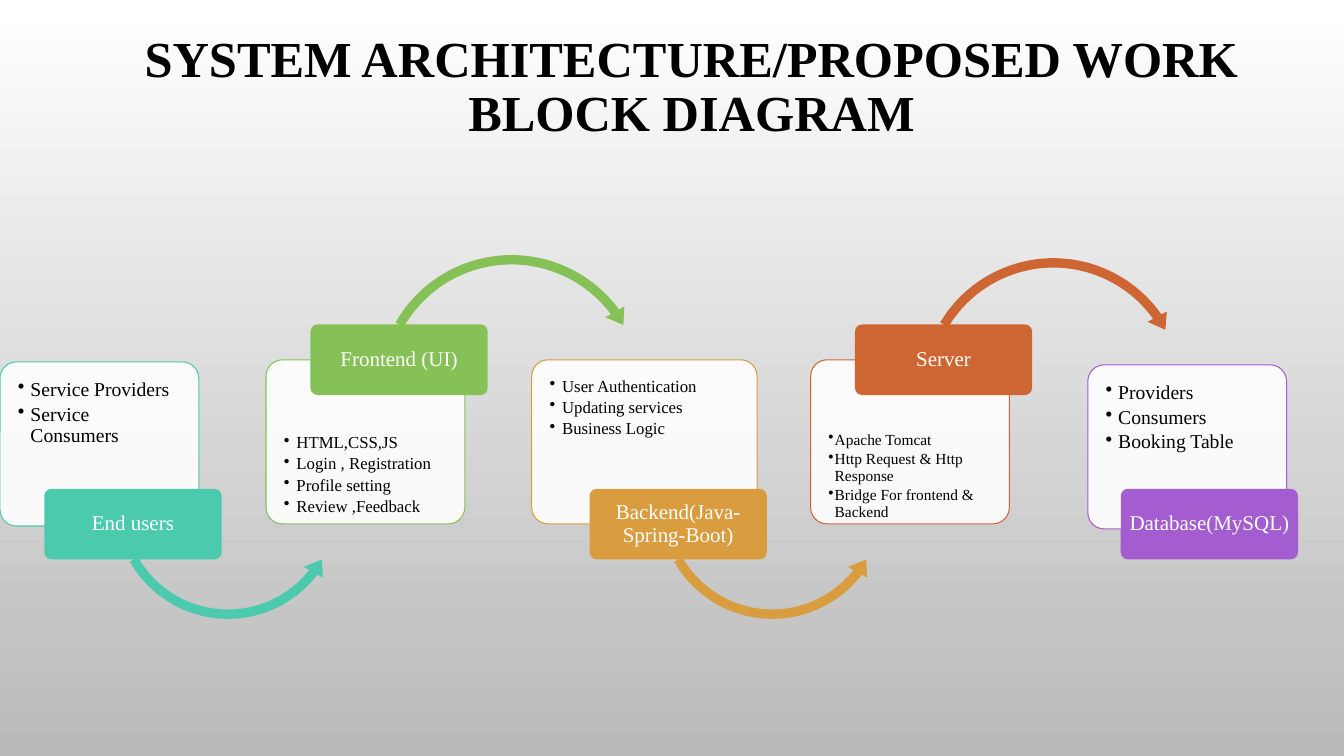
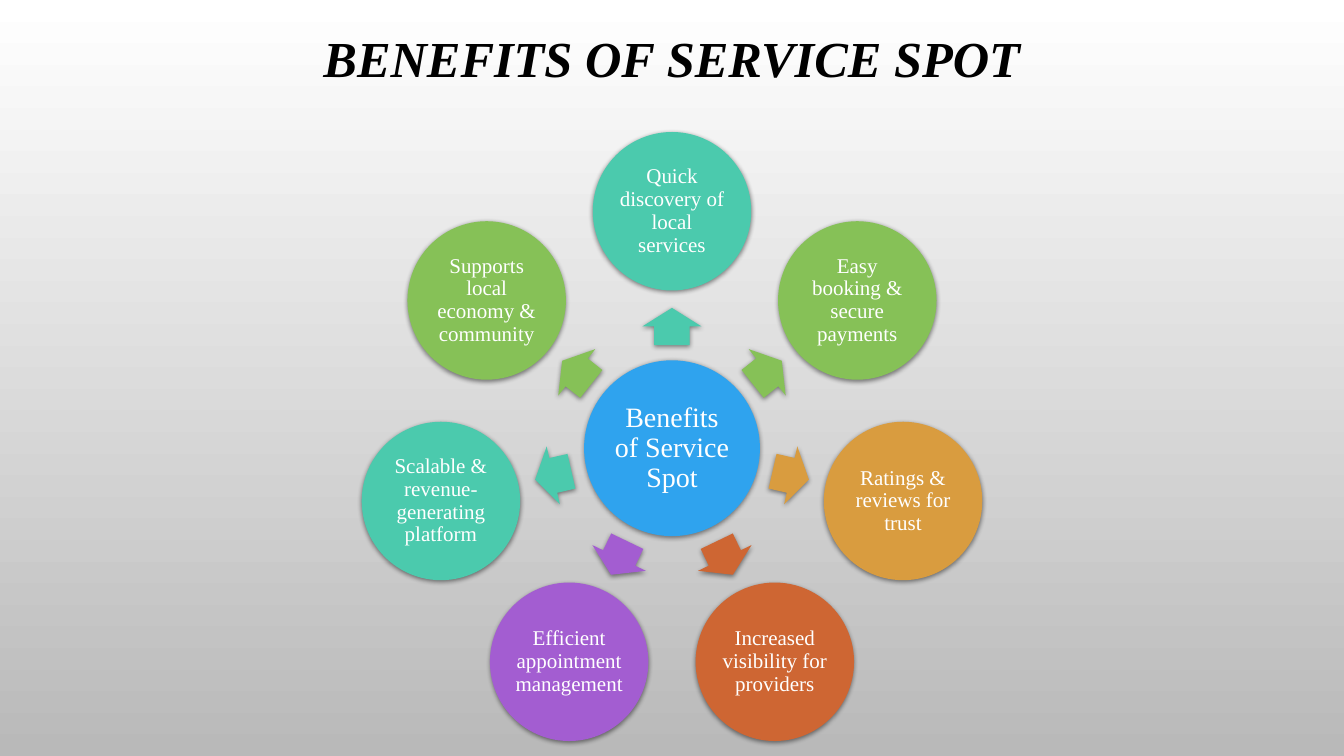
"""Build the service platform slides: architecture flow and benefits ring."""
import dataclasses
import math

import lxml.etree
import pptx
import pptx.dml.color
import pptx.enum.shapes
import pptx.enum.text
import pptx.oxml.ns
import pptx.util

Pt = pptx.util.Pt
SHAPES = pptx.enum.shapes.MSO_SHAPE
ALIGN = pptx.enum.text.PP_ALIGN
ANCHOR = pptx.enum.text.MSO_ANCHOR
qn = pptx.oxml.ns.qn


@dataclasses.dataclass(frozen=True)
class Theme:
    font: str = "Times New Roman"
    ink: str = "000000"
    paper: str = "FFFFFF"
    shade: str = "B9B9B9"
    hub: str = "2FA3EE"
    accents: tuple = ("4BCAAD", "86C157", "D99C3F", "CE6633", "A35DD1")
    title_size: int = 36
    hub_size: int = 20
    label_size: int = 15
    leading: float = 0.9


def rgb(value):
    return pptx.dml.color.RGBColor.from_string(value)


def apply(target, values):
    for name, value in values.items():
        setattr(target, name, value)


class Deck:
    def __init__(self, theme):
        self.theme = theme
        self.show = pptx.Presentation()
        apply(self.show, {"slide_width": Pt(960), "slide_height": Pt(540)})
        backdrop = self.show.slide_master.background.fill
        backdrop.gradient()
        backdrop.gradient_angle = 270
        for stop, color in zip(backdrop.gradient_stops, (theme.paper, theme.shade)):
            stop.color.rgb = rgb(color)
        self.slide = None

    def new_slide(self, text, box, italic=False):
        self.slide = self.show.slides.add_slide(self.show.slide_layouts[5])
        title = self.slide.shapes.title
        apply(title, dict(zip(("left", "top", "width", "height"), map(Pt, box))))
        title.text_frame.vertical_anchor = ANCHOR.MIDDLE
        paragraph = title.text_frame.paragraphs[0]
        self.add_words(paragraph, text, self.theme.title_size, self.theme.ink,
                       bold=True, italic=italic)

    def add_words(self, paragraph, text, size, color, align=ALIGN.CENTER, **style):
        apply(paragraph, {"alignment": align, "line_spacing": self.theme.leading})
        run = paragraph.add_run()
        run.text = text
        apply(run.font, {"name": self.theme.font, "size": Pt(size), **style})
        run.font.color.rgb = rgb(color)

    def block(self, kind, box, color, adjustments=(), shadow=False):
        shape = self.slide.shapes.add_shape(kind, *map(Pt, box))
        for index, value in enumerate(adjustments):
            shape.adjustments[index] = value
        shape.fill.solid()
        shape.fill.fore_color.rgb = rgb(color)
        shape.line.fill.background()
        shape.shadow.inherit = False
        if shadow:
            effects = shape.element.spPr.find(qn("a:effectLst"))
            outer = lxml.etree.SubElement(
                effects, qn("a:outerShdw"), blurRad=str(Pt(3.5)), dist=str(Pt(1.1)),
                dir="5400000", algn="ctr", rotWithShape="0")
            tint = lxml.etree.SubElement(outer, qn("a:srgbClr"), val=self.theme.ink)
            lxml.etree.SubElement(tint, qn("a:alpha"), val="45000")
        return shape

    def inset(self, shape, side, top, anchor):
        apply(shape.text_frame, {
            "word_wrap": True, "vertical_anchor": anchor,
            "margin_left": Pt(side), "margin_right": Pt(side),
            "margin_top": Pt(top), "margin_bottom": Pt(0 if anchor == ANCHOR.TOP else top)})

    def label(self, shape, text, size, margin):
        self.inset(shape, margin, margin, ANCHOR.MIDDLE)
        self.add_words(shape.text_frame.paragraphs[0], text, size, self.theme.paper)

    def card(self, box, color, items, size, top, indent):
        card = self.block(SHAPES.ROUNDED_RECTANGLE, box, self.theme.paper, (0.1,))
        tint = card.element.spPr.find(qn("a:solidFill"))[0]
        lxml.etree.SubElement(tint, qn("a:alpha"), val="90000")
        card.line.color.rgb = rgb(color)
        card.line.width = Pt(0.75)
        frame = card.text_frame
        self.inset(card, 9.3, top, ANCHOR.TOP)
        for index, item in enumerate(items):
            paragraph = frame.add_paragraph() if index else frame.paragraphs[0]
            properties = paragraph._p.get_or_add_pPr()
            properties.set("marL", str(Pt(indent)))
            properties.set("indent", str(-Pt(indent)))
            lxml.etree.SubElement(properties, qn("a:buChar"), char="•")
            paragraph.space_after = Pt(round(size * 0.18, 1))
            self.add_words(paragraph, item, size, self.theme.ink, ALIGN.LEFT)

    def tag(self, left, top, color, text):
        tag = self.block(SHAPES.ROUNDED_RECTANGLE, (left, top, 126.6, 50.4), color, (0.1,))
        self.label(tag, text, self.theme.label_size, 1.5)

    def arc(self, kind, left, top, size, color, angles):
        tip, end, start = (degrees * 0.6 for degrees in angles)
        self.block(kind, (left, top, size, size), color,
                   (6.7 / size, tip, end, start, 7.8 / size))

    def disc(self, center, diameter, color, text, size):
        x, y = center
        box = (x - diameter / 2, y - diameter / 2, diameter, diameter)
        self.label(self.block(SHAPES.OVAL, box, color, shadow=True), text, size, 1.5)

    def pointer(self, center, rotation, color):
        x, y = center
        width, height = 26.6, 42.4
        arrow = self.block(SHAPES.RIGHT_ARROW, (x - width / 2, y - height / 2, width, height),
                           color, (0.6, 0.5), shadow=True)
        arrow.rotation = rotation % 360


def architecture(deck):
    deck.new_slide("SYSTEM ARCHITECTURE/PROPOSED WORK BLOCK DIAGRAM", (86, 18, 816, 90))
    under, over = SHAPES.LEFT_CIRCULAR_ARROW, SHAPES.CIRCULAR_ARROW
    rising = (8.21, 37.8, 150.41)
    stages = (
        ("End users", 31.7, (0, 258.5, 142), 14, 9.3, 9,
         ("Service Providers", "Service Consumers"),
         (under, 77.8, 276.5, 170, rising)),
        ("Frontend (UI)", 221.8, (190, 257, 142), 12, 49.6, 9,
         ("HTML,CSS,JS", "Login , Registration", "Profile setting", "Review ,Feedback"),
         (over, 265.7, 177.8, 199.4, (6.92, 323.49, 209.59))),
        ("Backend(Java- Spring-Boot)", 421.2, (379.8, 257, 161), 12, 9.3, 9,
         ("User Authentication", "Updating services", "Business Logic"),
         (under, 466.6, 276.5, 170, rising)),
        ("Server", 610.7, (579, 257, 142), 11, 48, 4.5,
         ("Apache Tomcat", "Http Request & Http Response", "Bridge For frontend & Backend"),
         (over, 653.8, 180, 197.3, (6.98, 324.74, 210.9))),
        ("Database(MySQL)", 800.6, (777, 260.6, 142), 14, 9.3, 9,
         ("Providers", "Consumers", "Booking Table"), None),
    )
    for index, (name, tag_left, place, size, top, indent, items, link) in enumerate(stages):
        color = deck.theme.accents[index]
        deck.card((*place, 117.2), color, items, size, top, indent)
        if link:
            kind, left, arc_top, span, angles = link
            deck.arc(kind, left, arc_top, span, color, angles)
        deck.tag(tag_left, 231.8 if index % 2 else 349.2, color, name)


def benefits(deck):
    deck.new_slide("BENEFITS OF SERVICE SPOT", (72, -28, 816, 144), italic=True)
    center_x, center_y = 480, 320.2
    names = (
        "Quick discovery of local services",
        "Easy booking & secure payments",
        "Ratings & reviews for trust",
        "Increased visibility for providers",
        "Efficient appointment management",
        "Scalable & revenue-generating platform",
        "Supports local economy & community",
    )
    theme = deck.theme
    deck.disc((center_x, center_y), 125.6, theme.hub, "Benefits of Service Spot", theme.hub_size)
    for index, name in enumerate(names):
        angle = index * 360 / len(names) - 90
        across, down = math.cos(math.radians(angle)), math.sin(math.radians(angle))
        color = theme.accents[index % len(theme.accents)]
        deck.pointer((center_x + 87 * across, center_y + 87 * down), angle, color)
        deck.disc((center_x + 169.3 * across, center_y + 169.3 * down), 113.2, color,
                  name, theme.label_size)


def main():
    deck = Deck(Theme())
    architecture(deck)
    benefits(deck)
    deck.show.save("out.pptx")


if __name__ == "__main__":
    main()
